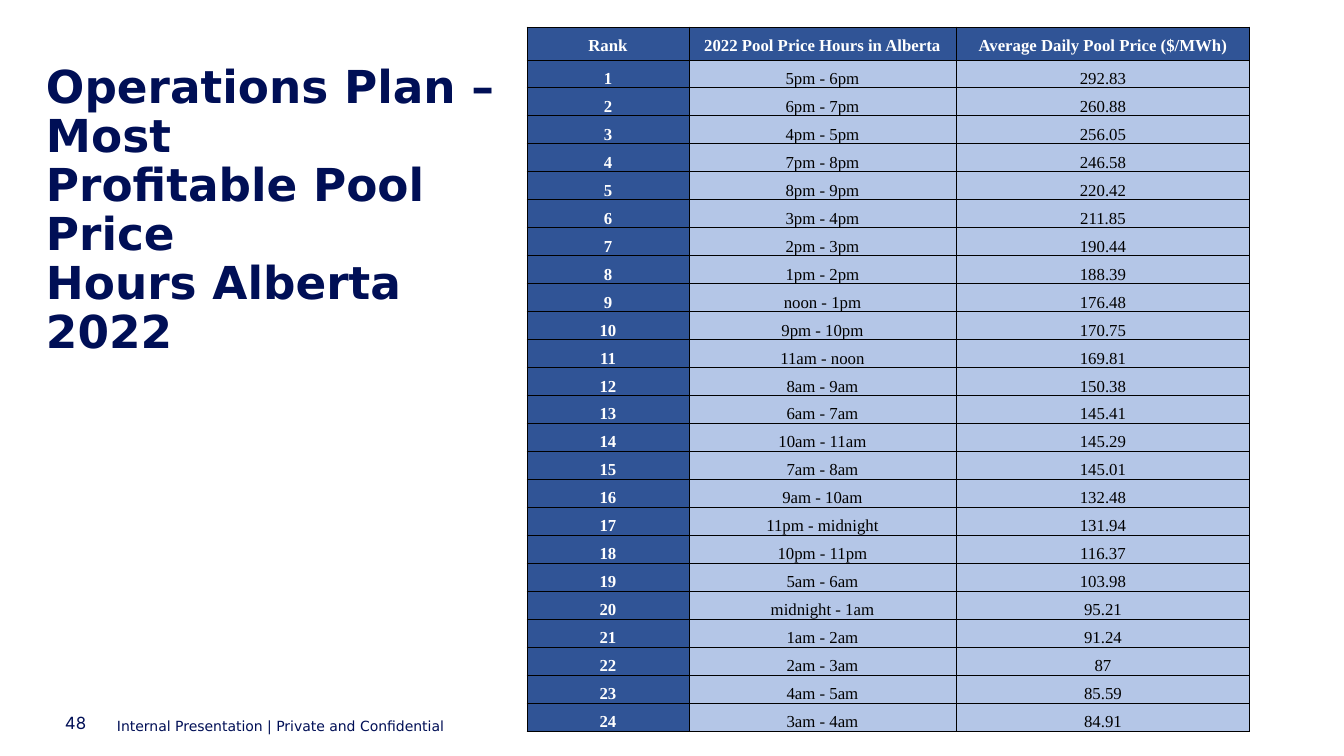
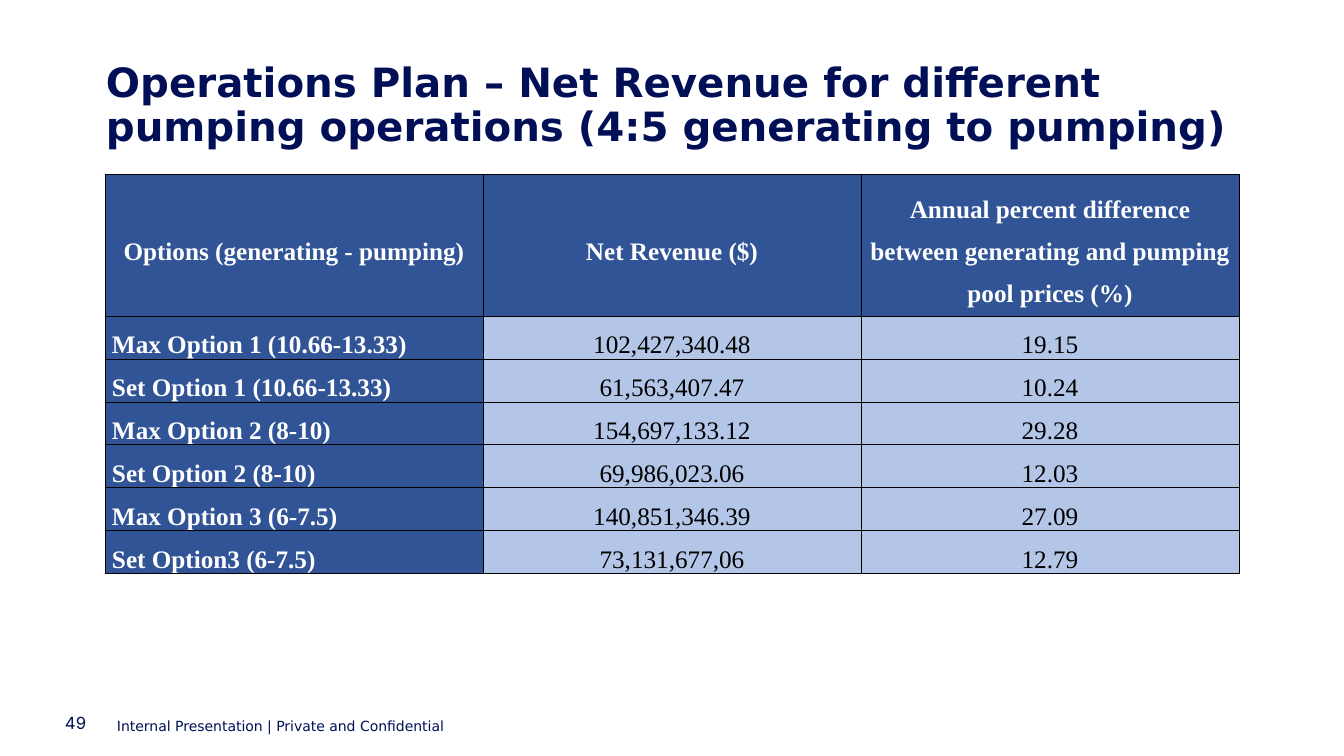
from dataclasses import dataclass

from lxml.etree import SubElement
from pptx import Presentation
from pptx.dml.color import RGBColor
from pptx.enum.text import MSO_ANCHOR, MSO_AUTO_SIZE, PP_ALIGN
from pptx.oxml import parse_xml
from pptx.oxml.ns import nsdecls, qn
from pptx.util import Emu, Pt


@dataclass(frozen=True)
class Theme:
    navy: str = "000F56"
    head_fill: str = "305496"
    body_fill: str = "B4C6E7"
    white: str = "FFFFFF"
    black: str = "000000"
    sans: str = "DejaVu Sans"
    number_font: str = "Inter"
    serif: str = "Times New Roman"
    number_size: float = 12
    footer_size: float = 10
    border: float = 0.75


T = Theme()
W, H = 1344, 756
SCALE = 12192000 / W
NBSP = chr(160)  # keeps word pairs of the title on one line
FOOTER = "Internal Presentation | Private and Confidential"


def box(*lengths):
    return [Emu(round(n * SCALE)) for n in lengths]


def write(tf, text, font, size, color, bold=False, margin=0, **paragraph):
    """Fill a text frame or table cell with one formatted paragraph."""
    sides = dict(zip(("margin_left", "margin_top", "margin_right", "margin_bottom"),
                     box(margin, 0, margin, 0)))
    for name, value in sides.items():
        setattr(tf, name, value)
    p = getattr(tf, "text_frame", tf).paragraphs[0]
    for name, value in paragraph.items():
        setattr(p, name, value)
    r = p.add_run()
    r.text = text
    for name, value in {"name": font, "size": Pt(size), "bold": bold}.items():
        setattr(r.font, name, value)
    r.font.color.rgb = RGBColor.from_string(color)


# Slide content
price_hours = [
    ("5pm - 6pm", "292.83"), ("6pm - 7pm", "260.88"), ("4pm - 5pm", "256.05"),
    ("7pm - 8pm", "246.58"), ("8pm - 9pm", "220.42"), ("3pm - 4pm", "211.85"),
    ("2pm - 3pm", "190.44"), ("1pm - 2pm", "188.39"), ("noon - 1pm", "176.48"),
    ("9pm - 10pm", "170.75"), ("11am - noon", "169.81"), ("8am - 9am", "150.38"),
    ("6am - 7am", "145.41"), ("10am - 11am", "145.29"), ("7am - 8am", "145.01"),
    ("9am - 10am", "132.48"), ("11pm - midnight", "131.94"), ("10pm - 11pm", "116.37"),
    ("5am - 6am", "103.98"), ("midnight - 1am", "95.21"), ("1am - 2am", "91.24"),
    ("2am - 3am", "87"), ("4am - 5am", "85.59"), ("3am - 4am", "84.91"),
]
slides = [
    {
        "number": "48",
        "title": f"Operations Plan –Most Profitable{NBSP}Pool Price Hours{NBSP}Alberta 2022",
        "title_box": (46, 64, 481, 313), "title_size": 32.4,
        "origin": (527, 27), "cols": (162, 267, 294), "head_row": 33, "row": 28,
        "size": 12, "margin": 4,
        "head_anchor": MSO_ANCHOR.TOP, "label_align": PP_ALIGN.CENTER,
        "rows": [("Rank", "2022 Pool Price Hours in Alberta", "Average Daily Pool Price ($/MWh)")]
        + [(str(rank), *entry) for rank, entry in enumerate(price_hours, 1)],
    },
    {
        "number": "49",
        "title": "Operations Plan – Net Revenue for different "
                 f"pumping{NBSP}operations{NBSP}(4:5 generating to pumping)",
        "title_box": (106, 63, 1133, 70), "title_size": 28.8,
        "origin": (105, 174), "cols": (378, 378, 378), "head_row": 142, "row": 43,
        "size": 18, "margin": 7,
        "head_anchor": MSO_ANCHOR.MIDDLE, "label_align": PP_ALIGN.LEFT,
        "rows": [
            ("Options (generating - pumping)", "Net Revenue ($)",
             "Annual percent difference between generating and pumping pool prices (%)"),
            ("Max Option 1 (10.66-13.33)", "102,427,340.48", "19.15"),
            ("Set Option 1 (10.66-13.33)", "61,563,407.47", "10.24"),
            ("Max Option 2 (8-10)", "154,697,133.12", "29.28"),
            ("Set Option 2 (8-10)", "69,986,023.06", "12.03"),
            ("Max Option 3 (6-7.5)", "140,851,346.39", "27.09"),
            ("Set Option3 (6-7.5)", "73,131,677,06", "12.79"),
        ],
    },
]

prs = Presentation()
prs.slide_width, prs.slide_height = box(W, H)

for data in slides:
    s = prs.slides.add_slide(prs.slide_layouts[5])

    # Title
    title = s.shapes.title
    title.left, title.top, title.width, title.height = box(*data["title_box"])
    tf = title.text_frame
    for name, value in {"word_wrap": True, "auto_size": MSO_AUTO_SIZE.NONE,
                        "vertical_anchor": MSO_ANCHOR.TOP}.items():
        setattr(tf, name, value)
    write(tf, data["title"], T.sans, data["title_size"], T.navy, bold=True,
          alignment=PP_ALIGN.LEFT, line_spacing=0.9)

    # Slide number and footer
    tf = s.shapes.add_textbox(*box(65, 712, 43, 21)).text_frame
    tf.vertical_anchor = MSO_ANCHOR.MIDDLE
    tf.word_wrap = True
    write(tf, data["number"], T.number_font, T.number_size, T.navy)
    tf = s.shapes.add_textbox(*box(117, 713, 538, 21)).text_frame
    tf.word_wrap = False
    write(tf, FOOTER, T.sans, T.footer_size, T.navy, line_spacing=1.25)

    # Table grid
    rows, cols = data["rows"], data["cols"]
    heights = [data["head_row"]] + [data["row"]] * (len(rows) - 1)
    table = s.shapes.add_table(len(rows), len(cols),
                               *box(*data["origin"], sum(cols), sum(heights))).table
    table.horz_banding = False
    for column, width in zip(table.columns, box(*cols)):
        column.width = width
    for row, height in zip(table.rows, box(*heights)):
        row.height = height

    # Table cells; body lines are set tighter so that rows keep their height
    for i, values in enumerate(rows):
        for j, value in enumerate(values):
            cell = table.cell(i, j)
            heading = i == 0 or j == 0
            cell.fill.solid()
            cell.fill.fore_color.rgb = RGBColor.from_string(T.head_fill if heading else T.body_fill)
            cell.vertical_anchor = data["head_anchor"] if i == 0 else MSO_ANCHOR.BOTTOM
            write(cell, value, T.serif, data["size"], T.white if heading else T.black,
                  bold=heading, margin=data["margin"],
                  alignment=data["label_align"] if i and j == 0 else PP_ALIGN.CENTER,
                  line_spacing=1.35 if i else 1.5, space_after=Pt(6))
            tcPr = cell._tc.get_or_add_tcPr()
            for k, side in enumerate("LRTB"):
                ln = parse_xml(f'<a:ln{side} {nsdecls("a")} w="{Pt(T.border)}"/>')
                fill = SubElement(ln, qn("a:solidFill"))
                SubElement(fill, qn("a:srgbClr")).set("val", T.black)
                tcPr.insert(k, ln)

prs.save("out.pptx")
